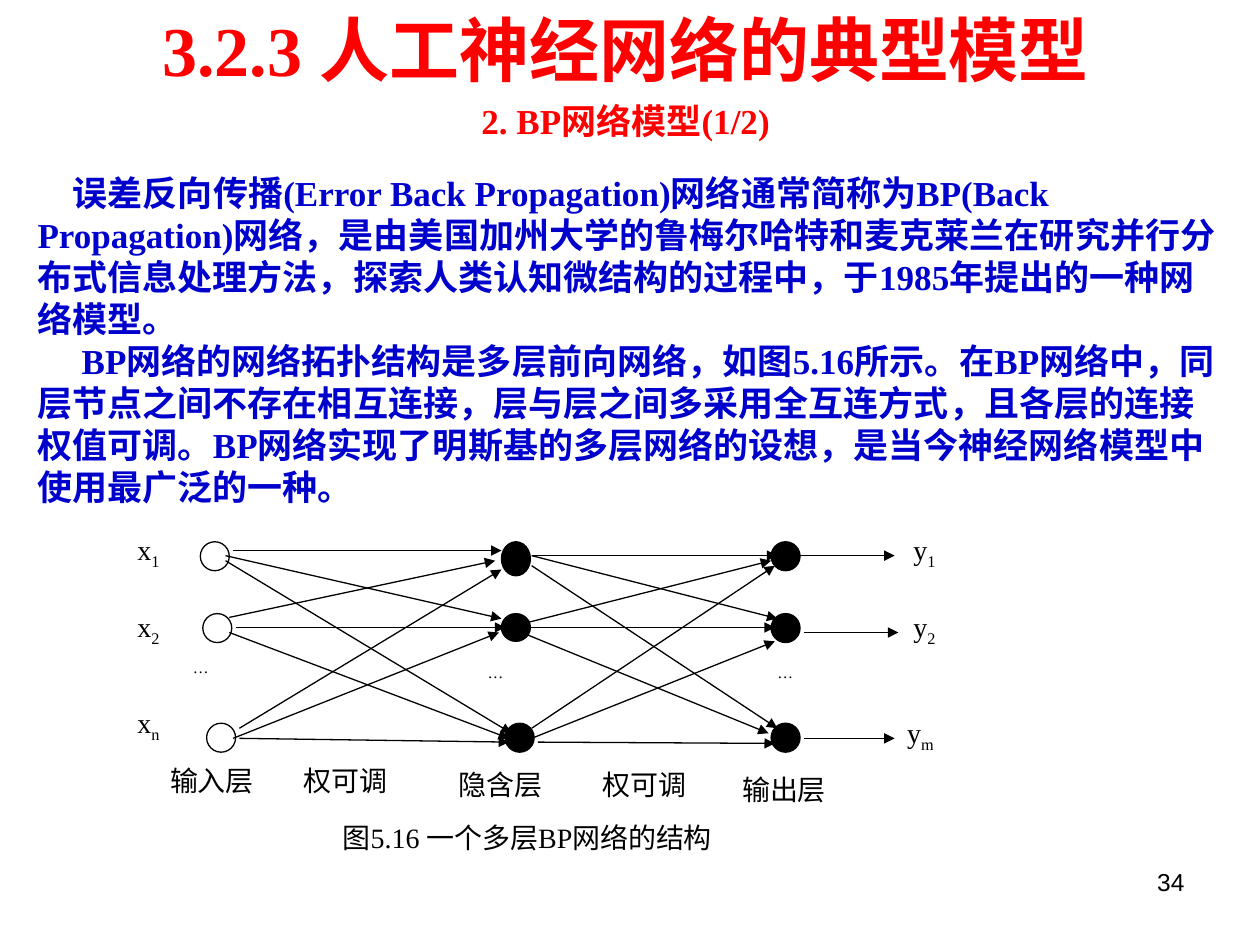
from dataclasses import dataclass

from lxml import etree
from pptx import Presentation
from pptx.dml.color import RGBColor
from pptx.enum.shapes import MSO_CONNECTOR, MSO_SHAPE
from pptx.enum.text import MSO_ANCHOR, MSO_AUTO_SIZE, PP_ALIGN
from pptx.oxml.ns import qn
from pptx.util import Inches, Pt

RECT, OVAL = MSO_SHAPE.RECTANGLE, MSO_SHAPE.OVAL
STRAIGHT = MSO_CONNECTOR.STRAIGHT
TOP = MSO_ANCHOR.TOP
LEFT, CENTER, RIGHT, JUSTIFY = PP_ALIGN.LEFT, PP_ALIGN.CENTER, PP_ALIGN.RIGHT, PP_ALIGN.JUSTIFY


@dataclass(frozen=True)
class Theme:
    red: RGBColor = RGBColor(0xFF, 0, 0)
    blue: RGBColor = RGBColor(0, 0, 0xCC)
    black: RGBColor = RGBColor(0, 0, 0)
    white: RGBColor = RGBColor(0xFF, 0xFF, 0xFF)
    serif: str = "Times New Roman"
    sans: str = "Arial"
    title: int = 40
    body: int = 20
    label: int = 16
    number: int = 14
    dots: int = 9
    line: float = 0.75


theme = Theme()


def write(shape, text, first=True, sub="", size=theme.label, color=theme.black,
          font=theme.serif, bold=False, align=JUSTIFY, before=0, indent=0,
          margins=(0.02, 0.01)):
    """Write one paragraph, with an optional subscript, into a shape."""
    frame = shape.text_frame
    if first:
        frame.word_wrap = True
        frame.auto_size = MSO_AUTO_SIZE.NONE
        frame.vertical_anchor = TOP
        frame.margin_left = frame.margin_right = Inches(margins[0])
        frame.margin_top = frame.margin_bottom = Inches(margins[1])
    paragraph = frame.paragraphs[0] if first else frame.add_paragraph()
    paragraph.alignment = align
    paragraph.space_before = Pt(before)
    if indent:
        properties = paragraph._p.get_or_add_pPr()
        properties.set("marL", "0")
        properties.set("indent", str(Inches(indent)))
    for part in filter(None, (text, sub)):
        run = paragraph.add_run()
        run.text = part
        run.font.size, run.font.bold = Pt(size), bold
        run.font.name = font
        run.font.color.rgb = color
    if sub:
        run._r.get_or_add_rPr().set("baseline", "-25000")


prs = Presentation()
prs.slide_width, prs.slide_height = Inches(10), Inches(7.5)
slide = prs.slides.add_slide(prs.slide_layouts[5])
shapes = slide.shapes

# Title and subtitle
title = shapes.title
title.left, title.top = Inches(0.87), Inches(0)
title.width, title.height = Inches(8.19), Inches(1.17)
heading = dict(color=theme.red, bold=True, align=CENTER, margins=(0.1, 0.05))
write(title, "3.2.3 人工神经网络的典型模型", size=theme.title, **heading)
write(title, "2. BP网络模型(1/2)", first=False, size=theme.body, before=5, **heading)

# Body text
body = shapes.add_textbox(Inches(0.2), Inches(1.31), Inches(9.57), Inches(2.77))
prose = dict(size=theme.body, color=theme.blue, bold=True, align=LEFT, margins=(0.1, 0.05))
write(body, "误差反向传播(Error Back Propagation)网络通常简称为BP(Back Propagation)网络，"
      "是由美国加州大学的鲁梅尔哈特和麦克莱兰在研究并行分布式信息处理方法，"
      "探索人类认知微结构的过程中，于1985年提出的一种网络模型。", indent=0.28, **prose)
write(body, "BP网络的网络拓扑结构是多层前向网络，如图5.16所示。在BP网络中，"
      "同层节点之间不存在相互连接，层与层之间多采用全互连方式，且各层的连接权值可调。"
      "BP网络实现了明斯基的多层网络的设想，是当今神经网络模型中使用最广泛的一种。",
      first=False, indent=0.35, **prose)

# Page number
page_number = shapes.add_textbox(Inches(7.17), Inches(6.83), Inches(2.33), Inches(0.52))
write(page_number, "34", size=theme.number, font=theme.sans, align=RIGHT, margins=(0.1, 0.05))

# Neurons: layer fill, then left edge and height of each node
node_tops = (4.3, 4.87, 5.74)
layers = [
    (theme.white, [(1.59, 0.23), (1.61, 0.23), (1.64, 0.23)]),
    (theme.black, [(3.98, 0.27), (3.98, 0.22), (4.01, 0.23)]),
    (theme.black, [(6.12, 0.23), (6.12, 0.23), (6.12, 0.23)]),
]
for fill, nodes in layers:
    for top, (left, height) in zip(node_tops, nodes):
        neuron = shapes.add_shape(OVAL, Inches(left), Inches(top), Inches(0.23), Inches(height))
        neuron.shadow.inherit = False
        neuron.fill.solid()
        neuron.fill.fore_color.rgb = fill
        neuron.line.color.rgb = theme.black
        neuron.line.width = Pt(theme.line)

# Weighted links: x1, y1, x2, y2
input_to_hidden = [
    (1.85, 4.37, 3.98, 4.37), (1.79, 4.41, 3.98, 4.91), (1.79, 4.45, 4.06, 5.82),
    (1.82, 4.9, 3.93, 4.45), (1.87, 4.98, 4.01, 4.98), (1.82, 5.02, 4.04, 5.86),
    (1.9, 5.78, 3.98, 4.52), (1.85, 5.86, 3.96, 5.02), (1.9, 5.86, 4.04, 5.89),
]
hidden_to_output = [
    (4.22, 4.41, 6.17, 4.41), (4.22, 4.41, 6.17, 4.91), (4.22, 4.49, 6.17, 5.78),
    (4.19, 4.94, 6.12, 4.45), (4.19, 4.98, 6.15, 4.98), (4.14, 5.02, 6.1, 5.82),
    (4.22, 5.78, 6.15, 4.49), (4.22, 5.86, 6.15, 5.09), (4.27, 5.89, 6.15, 5.9),
]
outputs = [(6.35, 4.41, 7.1, 4.41), (6.38, 5.02, 7.13, 5.02), (6.38, 5.86, 7.1, 5.86)]
for ends in input_to_hidden + hidden_to_output + outputs:
    link = shapes.add_connector(STRAIGHT, *map(Inches, ends))
    link.line.color.rgb = theme.black
    link.line.width = Pt(theme.line)
    etree.SubElement(link.line._get_or_add_ln(), qn("a:tailEnd"), type="triangle")
    etree.SubElement(link._element.spPr, qn("a:effectLst"))

# Labels: text, subscript, left, top, width, height, size
signal_labels = [
    (name, sub, left, top, 0.44, 0.42, theme.label)
    for name, sub, left, top in [
        ("x", "1", 1.07, 4.22), ("x", "2", 1.07, 4.83), ("x", "n", 1.07, 5.59),
        ("y", "1", 7.23, 4.22), ("y", "2", 7.23, 4.83), ("y", "m", 7.18, 5.67),
    ]
]
layer_labels = [
    (name, "", left, top, 0.83, 0.42, theme.label)
    for name, left, top in [
        ("输入层", 1.33, 6.05), ("权可调", 2.39, 6.05), ("隐含层", 3.62, 6.08),
        ("权可调", 4.76, 6.08), ("输出层", 5.87, 6.12),
    ]
]
dots = [("…", "", left, top, 0.51, 0.42, theme.dots)
        for left, top in [(1.51, 5.21), (3.85, 5.25), (6.15, 5.25)]]
caption = ("图5.16 一个多层BP网络的结构", "", 2.7, 6.5, 3.35, 0.38, theme.label)
for text, sub, left, top, width, height, size in signal_labels + layer_labels + dots + [caption]:
    label = shapes.add_shape(RECT, Inches(left), Inches(top), Inches(width), Inches(height))
    label.shadow.inherit = False
    label.fill.solid()
    label.fill.fore_color.rgb = theme.white
    label.line.fill.background()
    write(label, text, sub=sub, size=size)

prs.save("out.pptx")
